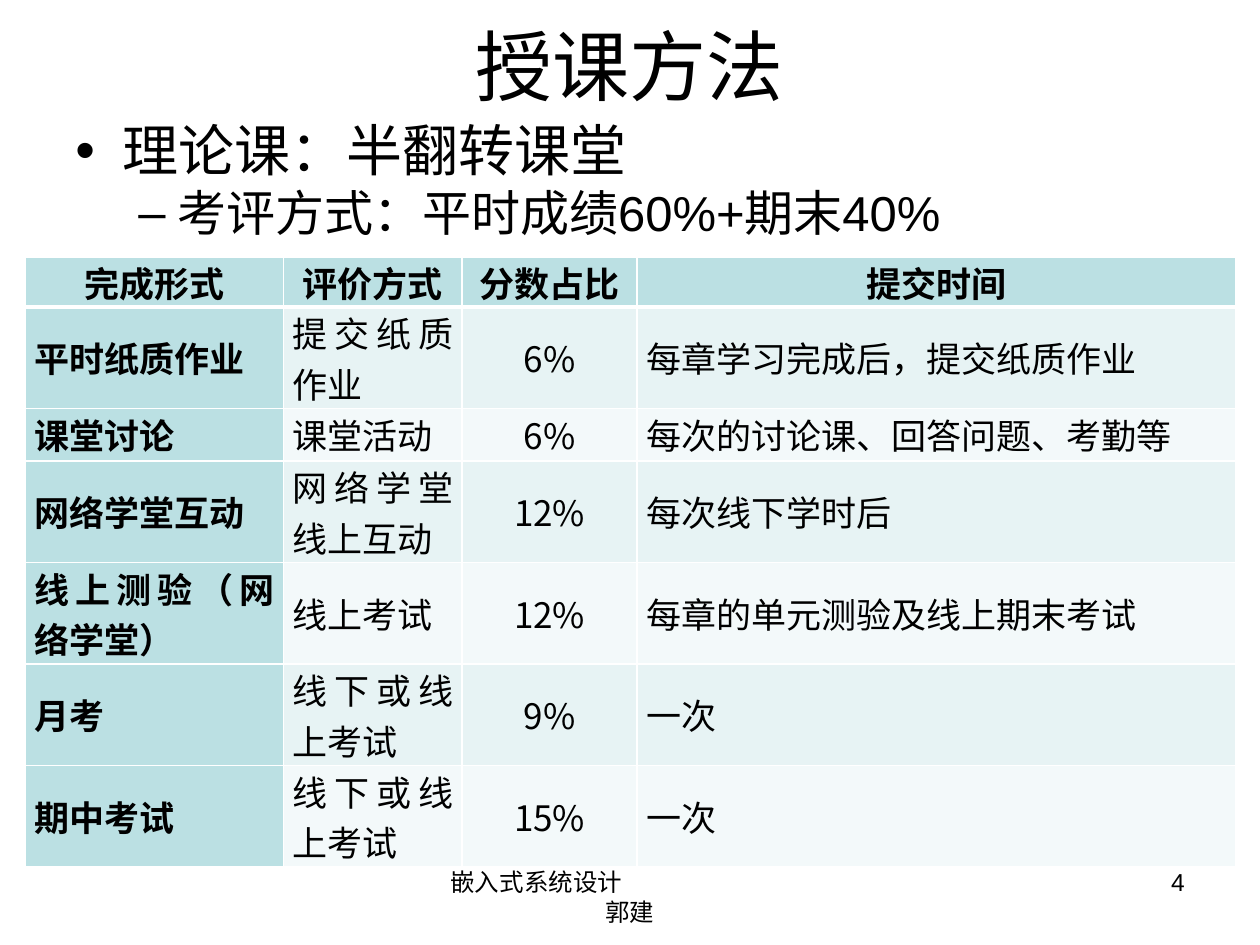
from pptx import Presentation
from pptx.dml.color import RGBColor
from pptx.enum.text import MSO_ANCHOR as Anchor, PP_ALIGN as Align
from pptx.oxml.ns import qn
from pptx.util import Pt
from lxml.etree import SubElement

BLACK = RGBColor(0x00, 0x00, 0x00)
TEAL = RGBColor(0xBB, 0xE0, 0xE3)
BANDS = (RGBColor(0xE7, 0xF3, 0xF4), RGBColor(0xF3, 0xF9, 0xFA))
LATIN_FONT = "Arial"
CHINESE_FONT = "Noto Sans CJK SC"

COLUMN_WIDTHS = (147.5, 102.2, 100, 342)
ROW_HEIGHTS = (28.5, 58, 30, 58, 58, 58, 58)
ROWS = (
    ("完成形式", "评价方式", "分数占比", "提交时间"),
    ("平时纸质作业", "提交纸质作业", "6%", "每章学习完成后，提交纸质作业"),
    ("课堂讨论", "课堂活动", "6%", "每次的讨论课、回答问题、考勤等"),
    ("网络学堂互动", "网络学堂线上互动", "12%", "每次线下学时后"),
    ("线上测验（网络学堂）", "线上考试", "12%", "每章的单元测验及线上期末考试"),
    ("月考", "线下或线上考试", "9%", "一次"),
    ("期中考试", "线下或线上考试", "15%", "一次"),
)


def style_paragraph(paragraph, size, align, font_name=LATIN_FONT, bold=False):
    paragraph.alignment = align
    font = paragraph.font
    font.name, font.size, font.bold = font_name, Pt(size), bold
    font.color.rgb = BLACK
    defaults = paragraph._p.pPr.find(qn("a:defRPr"))
    latin = defaults.find(qn("a:latin"))
    east_asian = SubElement(defaults, qn("a:ea"), typeface=CHINESE_FONT)
    latin.addnext(east_asian)


def indent(paragraph, left, first_line=0, bullet=None):
    properties = paragraph._p.get_or_add_pPr()
    properties.set("marL", str(Pt(left)))
    properties.set("indent", str(Pt(first_line)))
    if bullet:
        SubElement(properties, qn("a:buFont"), typeface=LATIN_FONT)
        SubElement(properties, qn("a:buChar"), char=bullet)


def add_text(slide, left, top, width, height, lines, size, align, anchor=Anchor.TOP):
    """Add a text box with one paragraph per line and return its paragraphs."""
    box = slide.shapes.add_textbox(Pt(left), Pt(top), Pt(width), Pt(height))
    frame = box.text_frame
    frame.word_wrap = True
    frame.vertical_anchor = anchor
    frame.text = "\n".join(lines)
    for paragraph in frame.paragraphs:
        style_paragraph(paragraph, size, align)
    return frame.paragraphs


def add_outline(slide):
    box = slide.shapes.add_textbox(Pt(36), Pt(67), Pt(648), Pt(405))
    frame = box.text_frame
    frame.word_wrap = True
    topic, grading = frame.paragraphs[0], frame.add_paragraph()
    topic.text = "理论课：半翻转课堂"
    grading.text = "考评方式：平时成绩60%+期末40%"
    topic.line_spacing = grading.line_spacing = 0.9
    grading.space_before = Pt(3)
    indent(topic, 27, -27, "•")
    indent(grading, 58.5, -22.5, "–")
    style_paragraph(topic, 32, Align.LEFT)
    style_paragraph(grading, 28, Align.LEFT)


def add_borders(cell, row):
    """Draw white cell borders, thicker under the header row."""
    widths = {"L": 1, "R": 1, "T": 3 if row == 1 else 1, "B": 3 if row == 0 else 1}
    properties = cell._tc.get_or_add_tcPr()
    for position, (side, width) in enumerate(widths.items()):
        line = SubElement(properties, qn(f"a:ln{side}"), w=str(Pt(width)))
        fill = SubElement(line, qn("a:solidFill"))
        SubElement(fill, qn("a:srgbClr"), val="FFFFFF")
        properties.insert(position, line)


def fill_cell(cell, text, row, column):
    heading = row == 0 or column == 0
    cell.margin_left = cell.margin_right = Pt(5.2)
    cell.margin_top = cell.margin_bottom = 0
    cell.vertical_anchor = Anchor.MIDDLE
    cell.fill.solid()
    cell.fill.fore_color.rgb = TEAL if heading else BANDS[(row - 1) % 2]
    add_borders(cell, row)
    cell.text = text
    align = Align.CENTER if row == 0 or column == 2 else Align.JUSTIFY
    style_paragraph(cell.text_frame.paragraphs[0], 20, align, CHINESE_FONT, heading)


def add_grading_table(slide):
    frame = slide.shapes.add_table(
        len(ROWS), len(COLUMN_WIDTHS), Pt(14.4), Pt(146.9),
        Pt(sum(COLUMN_WIDTHS)), Pt(sum(ROW_HEIGHTS)))
    table = frame.table
    for column, width in zip(table.columns, COLUMN_WIDTHS):
        column.width = Pt(width)
    for row, height in zip(table.rows, ROW_HEIGHTS):
        row.height = Pt(height)
    for row, texts in enumerate(ROWS):
        for column, text in enumerate(texts):
            fill_cell(table.cell(row, column), text, row, column)


def main():
    presentation = Presentation()
    presentation.slide_width, presentation.slide_height = Pt(720), Pt(540)
    slide = presentation.slides.add_slide(presentation.slide_layouts[6])
    add_text(slide, 36, 15, 648, 44, ["授课方法"], 44, Align.CENTER, Anchor.MIDDLE)
    add_outline(slide)
    course, _ = add_text(slide, 246, 492, 228, 37.5, ["嵌入式系统设计", "郭建"], 14, Align.CENTER)
    course.alignment = Align.LEFT
    indent(course, 4.3)
    add_text(slide, 516, 492, 168, 37.5, ["4"], 14, Align.RIGHT)
    add_grading_table(slide)
    presentation.save("out.pptx")


if __name__ == "__main__":
    main()
